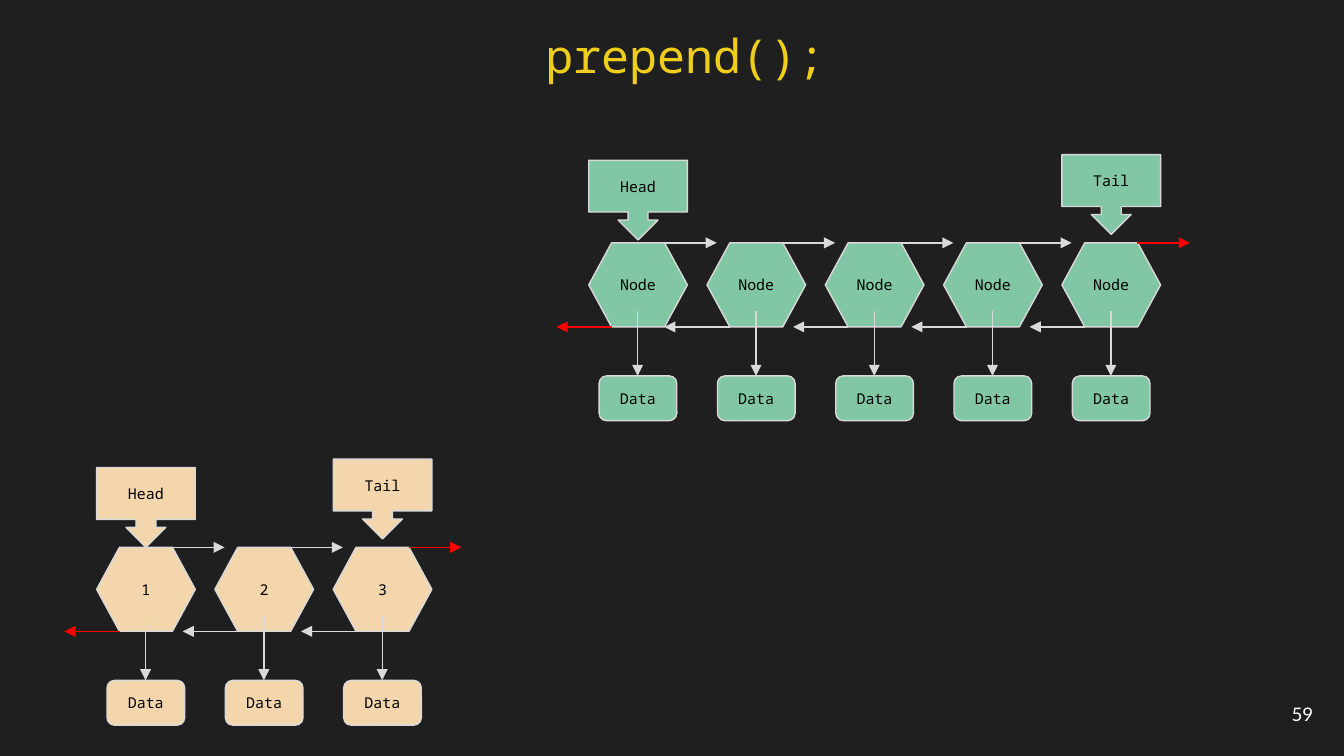
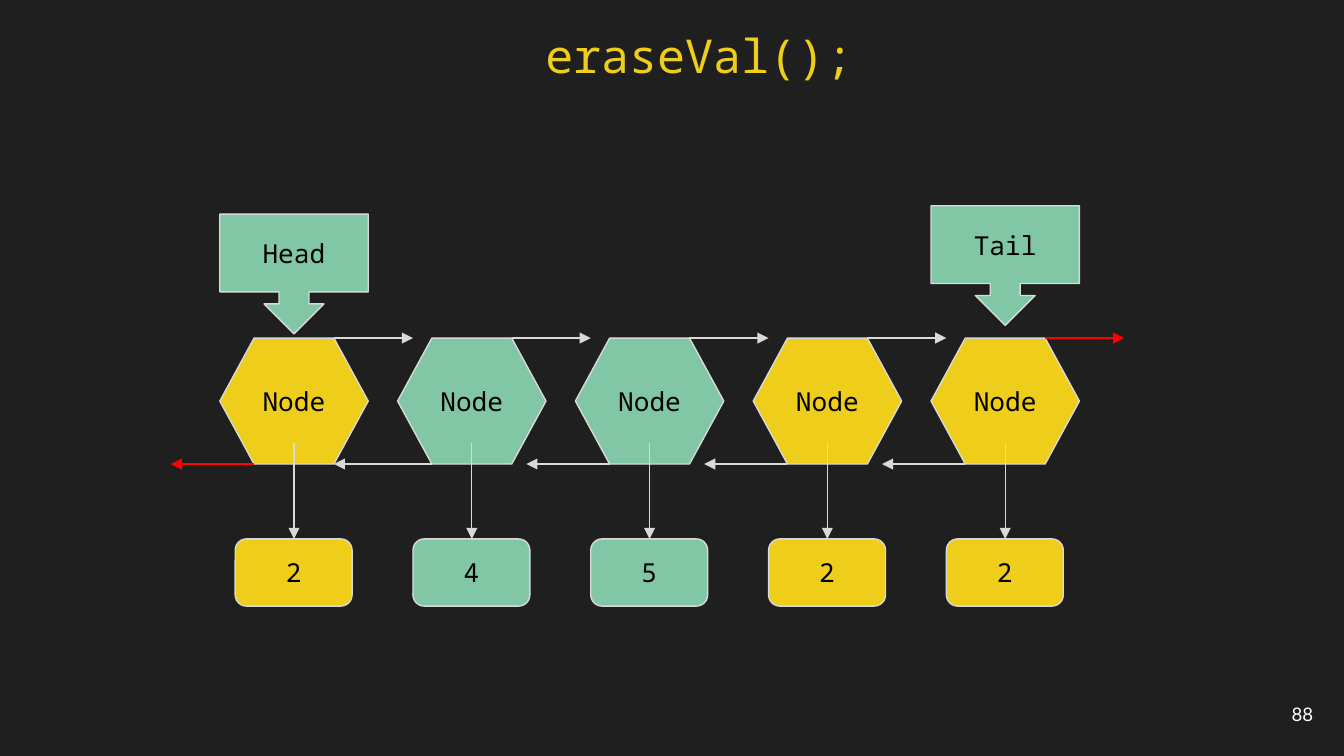
from dataclasses import dataclass

from lxml.etree import SubElement
from pptx import Presentation
from pptx.dml.color import RGBColor
from pptx.enum.shapes import MSO_CONNECTOR, MSO_SHAPE
from pptx.enum.text import MSO_ANCHOR, MSO_AUTO_SIZE, PP_ALIGN
from pptx.oxml.ns import qn
from pptx.slide import Slide
from pptx.text.text import TextFrame
from pptx.util import Emu, Pt

# Colours and fonts
BACKGROUND = RGBColor(0x1F, 0x1F, 0x1F)
YELLOW = RGBColor(0xEE, 0xCE, 0x1A)
GREEN = RGBColor(0x82, 0xC7, 0xA5)
PEACH = RGBColor(0xF4, 0xD6, 0xAD)
GREY = RGBColor(0xD9, 0xD9, 0xD9)
RED = RGBColor(0xFF, 0x00, 0x00)
BLACK = RGBColor(0x00, 0x00, 0x00)
WHITE = RGBColor(0xFF, 0xFF, 0xFF)
CODE_FONT = "Noto Sans Mono"
NUMBER_FONT = "Lato"

# The slide is 1920 by 1080 px
SLIDE_WIDTH, SLIDE_HEIGHT = 1920, 1080
EMU_PER_PX = 4762.5
INSET = 19
HEXAGON_ADJ = 0.272


def px(length: int) -> Emu:
    return Emu(round(length * EMU_PER_PX))


@dataclass(frozen=True)
class Metrics:
    """Sizes of one linked list; offsets start at a node's top left corner."""
    node_width: int
    node_height: int
    pitch: int
    corner: int
    next_length: int
    prev_length: int
    stem_top: int
    data_left: int
    data_top: int
    data_width: int
    data_height: int
    pointer_height: int
    tail_lift: int
    font_size: int


SMALL = Metrics(141, 120, 169, 33, 75, 79, 98, 15, 190, 111, 64, 114, 126, 8)
LARGE = Metrics(212, 180, 254, 49, 113, 119, 150, 22, 287, 167, 96, 171, 189, 14)


@dataclass(frozen=True)
class Node:
    label: str
    data: str
    fill: RGBColor


@dataclass(frozen=True)
class LinkedList:
    left: int
    top: int
    metrics: Metrics
    nodes: tuple[Node, ...]
    pointer_fill: RGBColor
    head_lift: int
    second_reaches_head: bool


@dataclass(frozen=True)
class Page:
    title: str
    title_width: int
    number: str
    lists: tuple[LinkedList, ...]


PAGES = (
    Page("prepend();", 941, "59", (
        LinkedList(841, 347, SMALL, (Node("Node", "Data", GREEN),) * 5,
                   GREEN, 118, True),
        LinkedList(138, 782, SMALL,
                   tuple(Node(label, "Data", PEACH) for label in "123"),
                   PEACH, 114, False),
    )),
    Page("eraseVal();", 856, "88", (
        LinkedList(314, 483, LARGE,
                   tuple(Node("Node", value, YELLOW if value == "2" else GREEN)
                         for value in "24522"),
                   GREEN, 177, True),
    )),
)


def write(frame: TextFrame, text: str, font: str, size: int, color: RGBColor,
          align: PP_ALIGN, anchor: MSO_ANCHOR) -> None:
    frame.word_wrap = True
    frame.auto_size = MSO_AUTO_SIZE.NONE
    frame.vertical_anchor = anchor
    frame.margin_left = frame.margin_right = px(INSET)
    frame.margin_top = frame.margin_bottom = px(INSET)
    paragraph = frame.paragraphs[0]
    paragraph.alignment = align
    run = paragraph.add_run()
    run.text = text
    run.font.name = font
    run.font.size = Pt(size)
    run.font.color.rgb = color


def add_block(slide: Slide, kind: MSO_SHAPE, left: int, top: int, width: int,
              height: int, fill: RGBColor, text: str, size: int) -> None:
    block = slide.shapes.add_shape(kind, px(left), px(top), px(width), px(height))
    block.shadow.inherit = False
    block.fill.solid()
    block.fill.fore_color.rgb = fill
    block.line.color.rgb = GREY
    block.line.width = Pt(0.75)
    if kind == MSO_SHAPE.HEXAGON:
        block.adjustments[0] = HEXAGON_ADJ
    write(block.text_frame, text, CODE_FONT, size, BLACK,
          PP_ALIGN.CENTER, MSO_ANCHOR.MIDDLE)


def add_arrow(slide: Slide, x1: int, y1: int, x2: int, y2: int,
              color: RGBColor = GREY) -> None:
    arrow = slide.shapes.add_connector(
        MSO_CONNECTOR.STRAIGHT, px(x1), px(y1), px(x2), px(y2))
    arrow.line.color.rgb = color
    arrow.line.width = Pt(0.75)
    properties = arrow.element.spPr
    SubElement(properties.find(qn("a:ln")), qn("a:tailEnd"), type="triangle")
    SubElement(properties, qn("a:effectLst"))


def draw_list(slide: Slide, chain: LinkedList) -> None:
    m = chain.metrics
    lefts = [chain.left + i * m.pitch for i in range(len(chain.nodes))]
    bottom = chain.top + m.node_height
    last = len(lefts) - 1

    # Nodes with their links to the next and previous node
    for i, (left, node) in enumerate(zip(lefts, chain.nodes)):
        add_block(slide, MSO_SHAPE.HEXAGON, left, chain.top, m.node_width,
                  m.node_height, node.fill, node.label, m.font_size)
        prev_start = left + m.corner
        prev_end = prev_start - m.prev_length
        next_start = left + m.node_width - m.corner
        if i == 1 and chain.second_reaches_head:
            prev_end = chain.left + m.node_width - m.corner
        add_arrow(slide, prev_start, bottom, prev_end, bottom,
                  RED if i == 0 else GREY)
        add_arrow(slide, next_start, chain.top, next_start + m.next_length,
                  chain.top, RED if i == last else GREY)

    # Head and tail pointers
    for label, left, lift in (("Head", lefts[0], chain.head_lift),
                              ("Tail", lefts[-1], m.tail_lift)):
        add_block(slide, MSO_SHAPE.DOWN_ARROW_CALLOUT, left, chain.top - lift,
                  m.node_width, m.pointer_height, chain.pointer_fill, label,
                  m.font_size)

    # Data below each node
    data_top = chain.top + m.data_top
    for left, node in zip(lefts, chain.nodes):
        center = left + m.node_width // 2
        add_arrow(slide, center, chain.top + m.stem_top, center, data_top)
        add_block(slide, MSO_SHAPE.ROUNDED_RECTANGLE, left + m.data_left, data_top,
                  m.data_width, m.data_height, node.fill, node.data, m.font_size)


def draw_page(slide: Slide, page: Page) -> None:
    # Title
    title = slide.shapes.title
    title.left, title.top = px(760), px(19)
    title.width, title.height = px(page.title_width), px(131)
    write(title.text_frame, page.title, CODE_FONT, 25, YELLOW,
          PP_ALIGN.LEFT, MSO_ANCHOR.TOP)

    # Page number
    number = slide.shapes.add_textbox(px(1780), px(979), px(115), px(83))
    write(number.text_frame, page.number, NUMBER_FONT, 10, WHITE,
          PP_ALIGN.RIGHT, MSO_ANCHOR.MIDDLE)

    for chain in page.lists:
        draw_list(slide, chain)


def main() -> None:
    deck = Presentation()
    deck.slide_width, deck.slide_height = px(SLIDE_WIDTH), px(SLIDE_HEIGHT)
    backdrop = deck.slide_master.background.fill
    backdrop.solid()
    backdrop.fore_color.rgb = BACKGROUND
    title_only = deck.slide_layouts.get_by_name("Title Only")
    for page in PAGES:
        draw_page(deck.slides.add_slide(title_only), page)
    deck.save("out.pptx")


if __name__ == "__main__":
    main()
